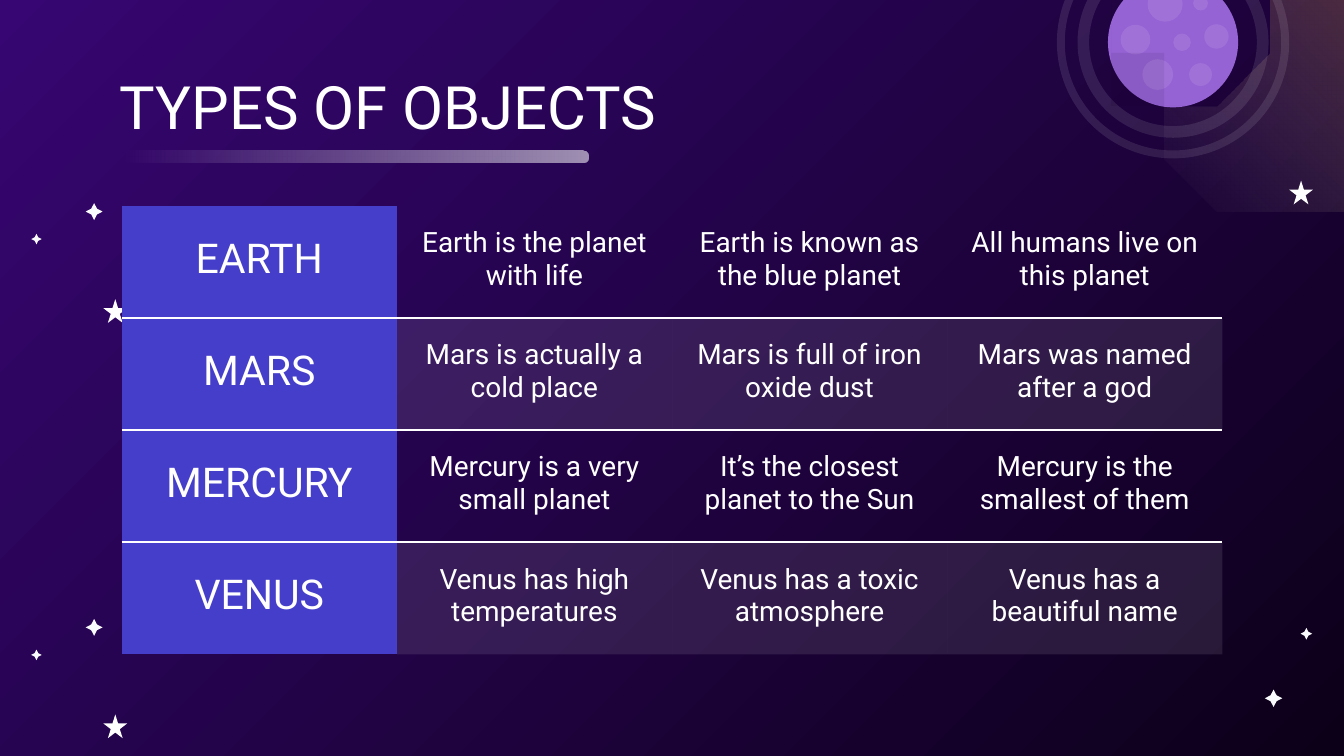
from pptx import Presentation
from pptx.dml.color import RGBColor
from pptx.enum.shapes import MSO_SHAPE
from pptx.enum.text import MSO_ANCHOR, PP_ALIGN
from pptx.oxml.ns import qn
from pptx.util import Cm, Pt
from lxml.etree import SubElement

FONT = "Roboto"
WHITE, DARK, VIOLET = "FFFFFF", "0C0019", "370672"
LILAC, BLUE, SPARK = "9663D4", "453ECA", "F9FBFC"
NO_STYLE = "{2D5ABB26-0587-4C30-8999-92F81FD0307C}"

ROWS = [
    ["EARTH", "Earth is the planet with life",
     "Earth is known as the blue planet", "All humans live on this planet"],
    ["MARS", "Mars is actually a cold place",
     "Mars is full of iron oxide dust", "Mars was named after a god"],
    ["MERCURY", "Mercury is a very small planet",
     "It’s the closest planet to the Sun", "Mercury is the smallest of them"],
    ["VENUS", "Venus has high temperatures",
     "Venus has a toxic atmosphere", "Venus has a beautiful name"],
]

# Centre x, centre y and width, in cm
MOON = (22.17, 0.8)
CRATERS = [(21.88, 1.41, 0.58), (22.02, 0.08, 0.66), (22.34, 0.8, 0.33),
           (22.99, 0.69, 0.46), (21.46, 0.75, 0.56), (22.69, 0.06, 0.28),
           (22.69, 1.41, 0.43)]
SPARKS = [(24.07, 13.2, 0.33), (0.69, 4.52, 0.2), (1.78, 4, 0.32),
          (24.69, 11.98, 0.22), (0.69, 12.38, 0.2), (1.78, 11.86, 0.32)]
STARS = [(24.59, 3.64), (2.18, 5.88), (2.18, 13.73)]

# Bezier outlines in cm: a start, then two handles and an end per curve
CLOUD = [(25.73, -1.6),
         (25.07, -1.52), (24.41, -0.99), (24.08, -0.25),
         (23.77, 0.43), (23.72, 1.32), (23.22, 1.83),
         (22.96, 2.06), (22.58, 2.18), (22.48, 2.49),
         (22.2, 2.95), (22.4, 3.51), (22.71, 3.81),
         (23.04, 4.11), (23.44, 4.24), (23.88, 4.24),
         (24.54, 4.24), (25.27, 3.94), (25.83, 3.43),
         (26.42, 2.95), (26.87, 2.29), (27.15, 1.55),
         (27.66, 0.15), (27.23, -1.6), (25.91, -1.6)]
SHADE = [(21.51, -0.25),
         (21.16, -0.05), (20.93, 0.36), (20.93, 0.79),
         (20.93, 1.47), (21.49, 2.03), (22.17, 2.03),
         (22.43, 2.03), (22.66, 1.96), (22.86, 1.83),
         (21.18, 1.52), (21.31, 0.38), (21.51, -0.25)]


def color(code):
    return RGBColor.from_string(code)


def fade(node, alpha):
    if alpha < 100:
        SubElement(node, qn("a:alpha"), val=str(alpha * 1000))


def flat(fill, node, code, alpha=100):
    fill.solid()
    fill.fore_color.rgb = color(code)
    fade(node.find(qn("a:solidFill"))[0], alpha)


def blend(fill, angle, stops):
    fill.gradient()
    fill.gradient_angle = angle
    for stop, (code, alpha) in zip(fill.gradient_stops, stops):
        stop.color.rgb = color(code)
        fade(stop._gs[0], alpha)


def plain(shape):
    shape.shadow.inherit = False
    shape.line.fill.background()
    return shape


def disc(slide, kind, x, y, size, code, alpha=100, adj=None):
    shape = plain(slide.shapes.add_shape(
        kind, Cm(x - size / 2), Cm(y - size / 2), Cm(size), Cm(size)))
    if adj is not None:
        shape.adjustments[0] = adj
    flat(shape.fill, shape._element.spPr, code, alpha)


def curve(slide, points, steps=12):
    dots = []
    for i in range(0, len(points) - 1, 3):
        for k in range(1, steps + 1):
            t = k / steps
            parts = ((1 - t) ** 3, 3 * t * (1 - t) ** 2,
                     3 * t * t * (1 - t), t ** 3)
            dots.append(tuple(
                sum(w * p[axis] for w, p in zip(parts, points[i:i + 4]))
                for axis in (0, 1)))
    build = slide.shapes.build_freeform(*points[0], scale=Cm(1))
    build.add_line_segments(dots, close=True)
    return plain(build.convert_to_shape())


def write(frame, text, size, align):
    frame.word_wrap = True
    para = frame.paragraphs[0]
    para.text = text
    para.alignment = align
    para.font.name = FONT
    para.font.size = Pt(size)
    para.font.color.rgb = color(WHITE)


def rule(cell, side):
    line = SubElement(cell._tc.get_or_add_tcPr(), qn("a:" + side),
                      w=str(Pt(1.5)))
    paint = SubElement(line, qn("a:solidFill"))
    SubElement(paint, qn("a:srgbClr"), val=WHITE)


def sky(slide):
    blend(slide.background.fill, 135, [(DARK, 100), (VIOLET, 100)])
    cloud = curve(slide, CLOUD)
    blend(cloud.fill, 225, [("FFAB0C", 31), (WHITE, 0)])

    # Moon with halo rings, craters and shade
    disc(slide, MSO_SHAPE.OVAL, *MOON, 2.46, LILAC)
    for size, width in ((4.39, 0.15), (3.61, 0.22)):
        disc(slide, MSO_SHAPE.DONUT, *MOON, size, WHITE, 10, width / size)
    for spot in CRATERS:
        disc(slide, MSO_SHAPE.OVAL, *spot, WHITE, 10)
    shade = curve(slide, SHADE)
    flat(shade.fill, shade._element.spPr, DARK, 8)

    # Stars
    for spot in SPARKS:
        disc(slide, MSO_SHAPE.STAR_4_POINT, *spot, SPARK, adj=0.24)
    for spot in STARS:
        disc(slide, MSO_SHAPE.STAR_5_POINT, *spot, 0.45, WHITE)


def title(slide):
    box = slide.shapes.add_textbox(Cm(2.01), Cm(1.07), Cm(21.41), Cm(1.65))
    frame = box.text_frame
    frame.margin_top = frame.margin_bottom = Cm(0.25)
    write(frame, "TYPES OF OBJECTS", 32, PP_ALIGN.LEFT)
    bar = plain(slide.shapes.add_shape(
        MSO_SHAPE.ROUNDED_RECTANGLE, Cm(2.29), Cm(2.84), Cm(8.84), Cm(0.23)))
    bar.adjustments[0] = 0.5
    blend(bar.fill, 0, [(WHITE, 0), (WHITE, 56)])


def grid(slide):
    high, wide = len(ROWS), len(ROWS[0])
    table = slide.shapes.add_table(
        high, wide, Cm(2.3), Cm(3.89), Cm(5.2 * wide), Cm(2.12 * high)).table
    table.first_row = table.horz_banding = False
    table._tbl.tblPr.find(qn("a:tableStyleId")).text = NO_STYLE
    for r, row in enumerate(ROWS):
        for c, text in enumerate(row):
            cell = table.cell(r, c)
            cell.vertical_anchor = MSO_ANCHOR.MIDDLE
            cell.margin_left = cell.margin_right = Cm(0.25)
            cell.margin_top, cell.margin_bottom = Cm(0.16), Cm(0.25)
            write(cell.text_frame, text, 15 if c else 22, PP_ALIGN.CENTER)
            # Lines between rows only
            if r > 0:
                rule(cell, "lnT")
            if r < high - 1:
                rule(cell, "lnB")
            # Blue names, every second row tinted
            node = cell._tc.get_or_add_tcPr()
            if c == 0:
                flat(cell.fill, node, BLUE)
            elif r % 2:
                flat(cell.fill, node, WHITE, 10)
            else:
                cell.fill.background()


def main():
    deck = Presentation()
    deck.slide_width, deck.slide_height = Cm(25.4), Cm(14.29)
    slide = deck.slides.add_slide(deck.slide_layouts[6])
    sky(slide)
    title(slide)
    grid(slide)
    deck.save("out.pptx")


if __name__ == "__main__":
    main()
